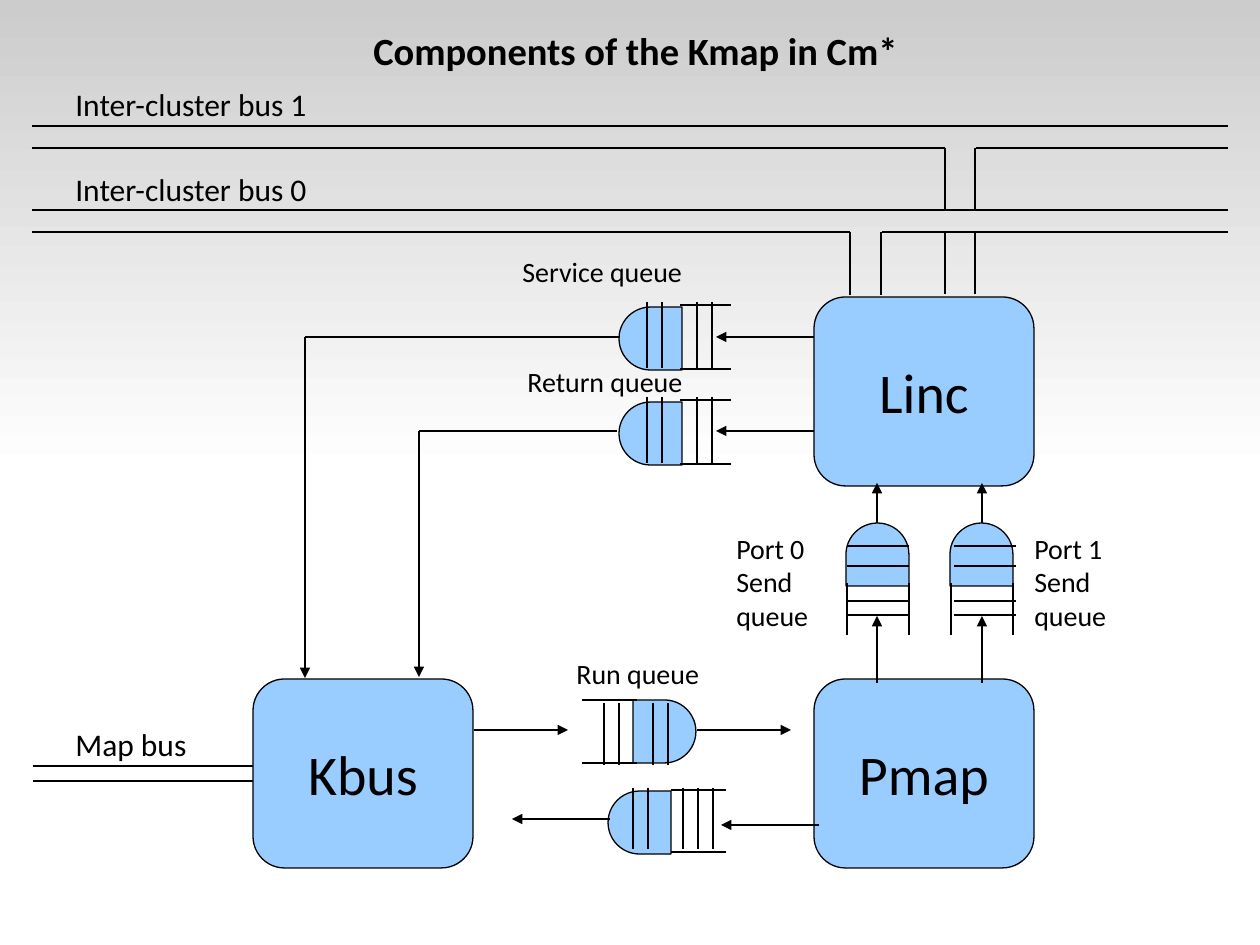
"""Build the slide on the components of the Kmap in Cm*."""
from lxml import etree
from pptx import Presentation
from pptx import util as u
from pptx.dml.color import RGBColor
from pptx.enum import shapes, text
from pptx.oxml.ns import qn

SCALE = 914400 / 126
FONT = "Calibri"
BLACK, BLUE = "000000", "99CCFF"
GATE = 63


def px(*lengths):
    """Turn px lengths into EMU."""
    return [u.Emu(round(length * SCALE)) for length in lengths]


def colour(code):
    """Turn a hex string into a colour."""
    return RGBColor.from_string(code)


def write(frame, wording, size, align=text.PP_ALIGN.LEFT, bold=False):
    """Write one paragraph per line of wording."""
    frame.text = wording
    for paragraph in frame.paragraphs:
        paragraph.alignment = align
        paragraph.font.name = FONT
        paragraph.font.size = u.Pt(size)
        paragraph.font.bold = bold
        paragraph.font.color.rgb = colour(BLACK)


def add_title(slide, wording):
    """Place and format the title."""
    title = slide.shapes.title
    title.left, title.top, title.width, title.height = px(226, 21, 819, 58)
    frame = title.text_frame
    frame.auto_size = text.MSO_AUTO_SIZE.NONE
    frame.vertical_anchor = text.MSO_ANCHOR.TOP
    write(frame, wording, 22, text.PP_ALIGN.CENTER, bold=True)


def add_band(slide):
    """Lay the grey gradient behind the upper half of the slide."""
    band = slide.shapes.add_shape(
        shapes.MSO_SHAPE.ROUNDED_RECTANGLE, *px(0, 0, 1260, 472.5))
    band.adjustments[0] = 0
    band.shadow.inherit = False
    band.line.fill.background()
    band.fill.gradient()
    band.fill.gradient_angle = 270
    for stop, code in zip(band.fill.gradient_stops, ("CCCCCC", "FFFFFF")):
        stop.color.rgb = colour(code)
    band.element.getparent().insert(2, band.element)


def add_solid(slide, kind, left, top, width, height):
    """Add a blue shape with a thin black outline."""
    solid = slide.shapes.add_shape(kind, *px(left, top, width, height))
    solid.shadow.inherit = False
    solid.fill.solid()
    solid.fill.fore_color.rgb = colour(BLUE)
    solid.line.color.rgb = colour(BLACK)
    solid.line.width = u.Pt(0.75)
    return solid


def add_unit(slide, name, left, top):
    """Add a named unit of the Kmap."""
    unit = add_solid(slide, shapes.MSO_SHAPE.ROUNDED_RECTANGLE,
                     left, top, 220, 189)
    frame = unit.text_frame
    frame.word_wrap = False
    frame.vertical_anchor = text.MSO_ANCHOR.MIDDLE
    write(frame, name, 32, text.PP_ALIGN.CENTER)


def add_label(slide, wording, left, top, width, height, size):
    """Add a wrapped text label."""
    label = slide.shapes.add_textbox(*px(left, top, width, height))
    label.text_frame.word_wrap = True
    write(label.text_frame, wording, size)


def add_line(slide, x1, y1, x2, y2, arrow=False):
    """Add a thin black line, with an arrowhead at its end on request."""
    wire = slide.shapes.add_connector(
        shapes.MSO_CONNECTOR.STRAIGHT, *px(x1, y1, x2, y2))
    wire.line.color.rgb = colour(BLACK)
    wire.line.width = u.Pt(0.75)
    if arrow:
        outline = wire.line._get_or_add_ln()
        etree.SubElement(outline, qn("a:tailEnd"), type="triangle")
    etree.SubElement(wire.element.spPr, qn("a:effectLst"))


def add_parallels(slide, span, positions, upright):
    """Add lines over one span, across or upright, at each position."""
    start, end = span
    for at in positions:
        ends = (at, start, at, end) if upright else (start, at, end, at)
        add_line(slide, *ends)


def add_queue(slide, gate, turn, rail_span, rails, slot_span, slots):
    """Add a queue: rounded gate, two rails and its slots."""
    head = add_solid(slide, shapes.MSO_SHAPE.FLOWCHART_DELAY,
                     *gate, GATE, GATE)
    head.rotation = turn
    upright = turn == 270
    add_parallels(slide, rail_span, rails, upright)
    add_parallels(slide, slot_span, slots, not upright)


def add_buses(slide):
    """Add the buses with their taps down to the Linc."""
    for top, bottom, left_tap, right_tap in ((126, 148, 945, 976),
                                             (210, 232, 850, 882)):
        add_line(slide, 32, top, 1228, top)
        add_line(slide, 32, bottom, left_tap, bottom)
        add_line(slide, right_tap, bottom, 1228, bottom)
    add_parallels(slide, (232, 295), (850, 881), True)
    for span in ((148, 210), (231, 294)):
        add_parallels(slide, span, (945, 975), True)
    add_parallels(slide, (33, 253), (766, 781), False)


def add_queues(slide):
    """Add all queues between the units."""
    for top in (307, 402):
        add_queue(slide, (619, top), 180, (680, 731), (top - 2, top + 62),
                  (top - 5, top + 61), (647, 662, 697, 712))
    add_queue(slide, (633, 700), 0, (582, 637), (700, 763),
              (703, 765), (604, 619, 653, 668))
    add_queue(slide, (608, 791), 180, (671, 726), (790, 852),
              (788, 849), (633, 648, 683, 698, 713))
    for left, slot_start in ((846, 847), (950, 954)):
        add_queue(slide, (left, 523), 270, (583, 635), (left + 1, left + 63),
                  (slot_start, slot_start + 62), (546, 566, 601, 615))


def add_flows(slide):
    """Add the arrows between units and queues."""
    for x in (877, 982):
        add_line(slide, x, 683, x, 616, arrow=True)
        add_line(slide, x, 523, x, 483, arrow=True)
    for y, gate_end, down, bottom in ((337, 620, 305, 678),
                                      (431, 617, 419, 677)):
        add_line(slide, 814, y, 716, y, arrow=True)
        add_line(slide, gate_end, y, down, y)
        add_line(slide, down, y, down, bottom, arrow=True)
    for start, end, y in ((474, 568, 730), (697, 791, 730),
                          (610, 512, 819), (819, 721, 825)):
        add_line(slide, start, y, end, y, arrow=True)


def main():
    """Build and save the slide."""
    deck = Presentation()
    deck.slide_width, deck.slide_height = px(1260, 945)
    slide = deck.slides.add_slide(deck.slide_layouts[5])
    add_title(slide, "Components of the Kmap in Cm*")
    add_band(slide)
    add_buses(slide)
    for name, left, top in (("Linc", 814, 297), ("Kbus", 253, 679),
                            ("Pmap", 814, 679)):
        add_unit(slide, name, left, top)
    add_queues(slide)
    add_flows(slide)
    for wording, top, width in (("Inter-cluster bus 1", 79, 504),
                                ("Inter-cluster bus 0", 164, 504),
                                ("Map bus", 719, 189)):
        add_label(slide, wording, 63, top, width, 50, 18)
    for wording, left, top in (("Service queue", 510, 248),
                               ("Return queue", 515, 358),
                               ("Run queue", 564, 650)):
        add_label(slide, wording, left, top, 284, 45, 16)
    for port, left in enumerate((724, 1022)):
        add_label(slide, f"Port {port}\nSend\nqueue", left, 525, 126, 113, 16)
    deck.save("out.pptx")


if __name__ == "__main__":
    main()
